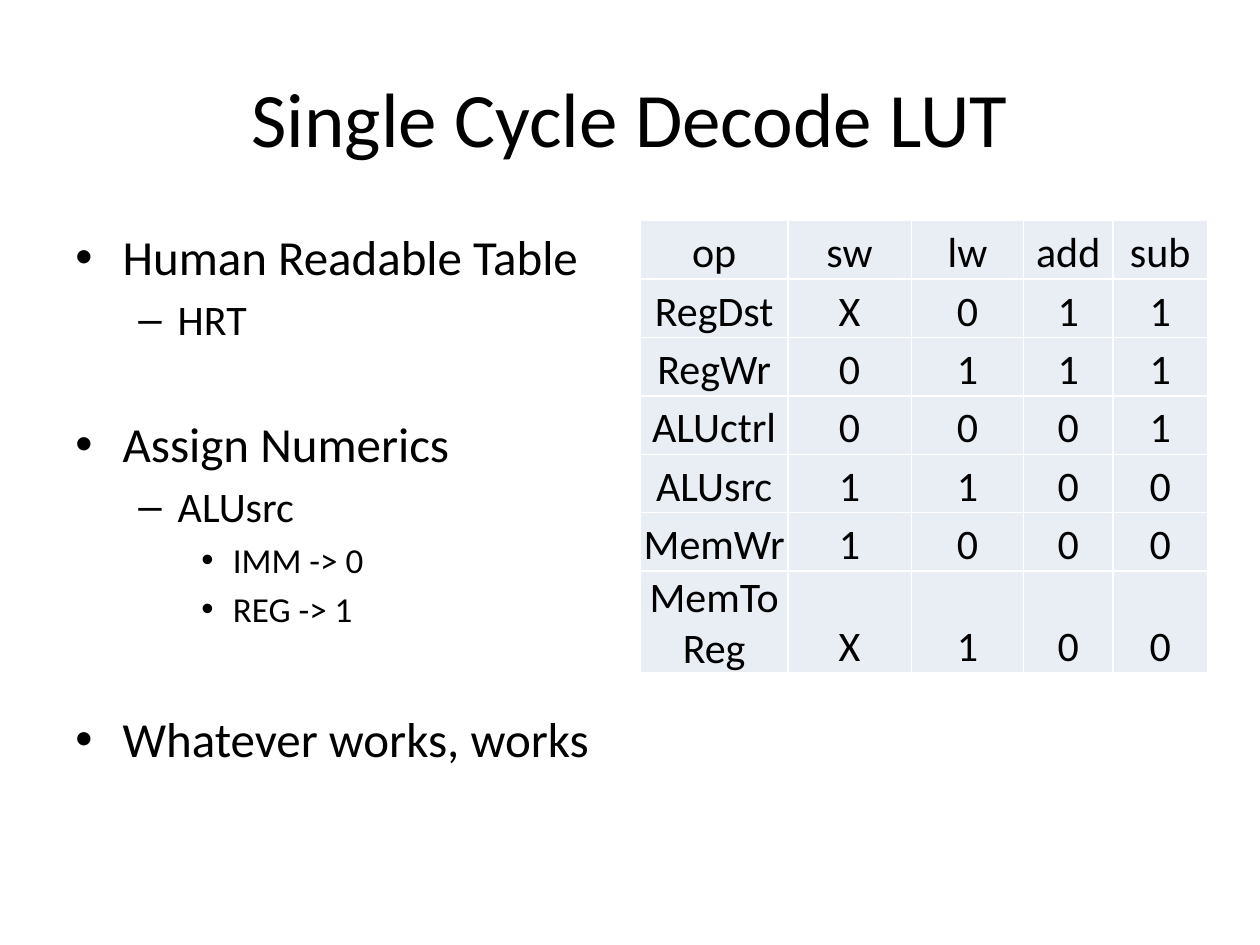
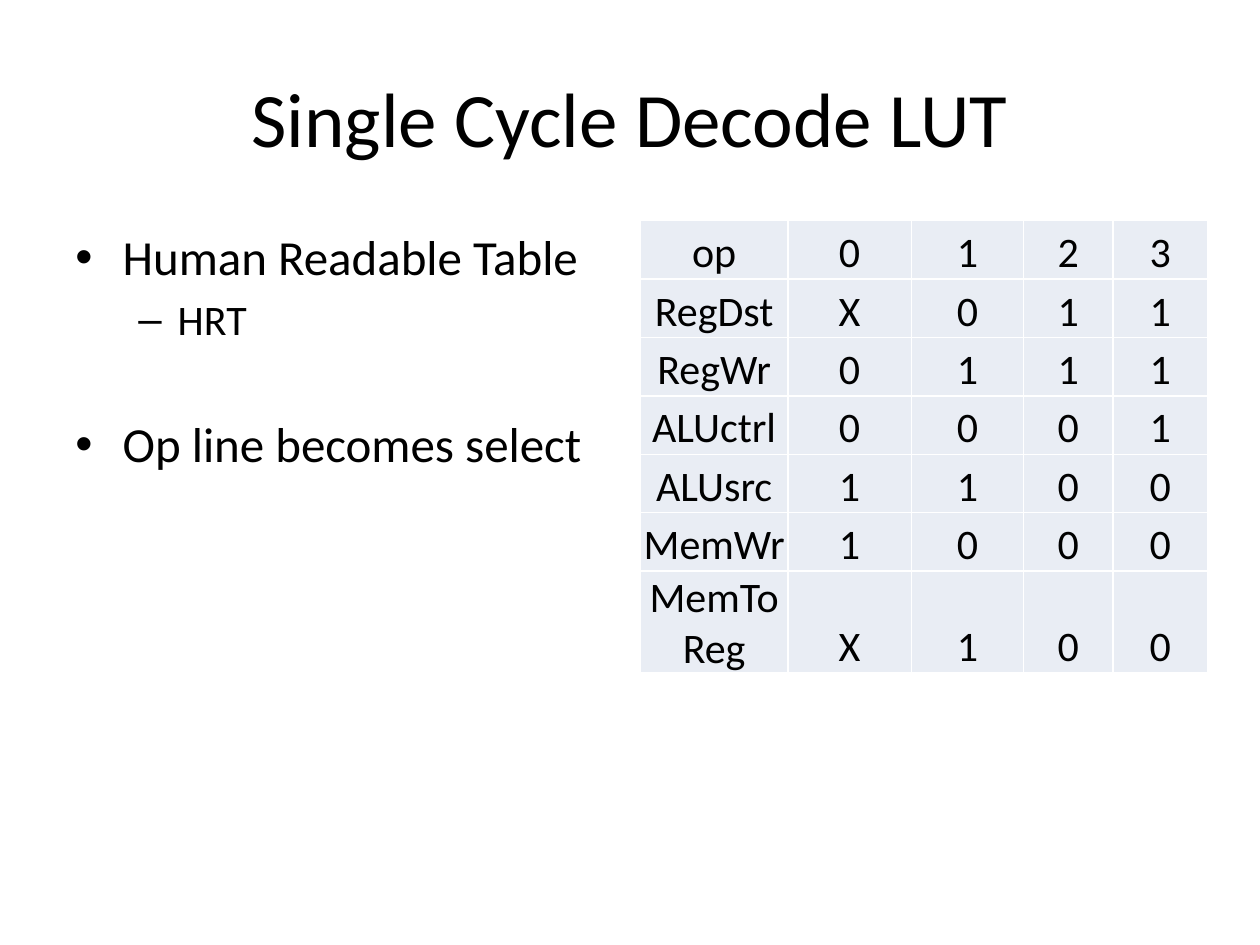
"""Two slides on the single cycle decode lookup table."""
from dataclasses import dataclass

import lxml.etree
import pptx
import pptx.dml.color
import pptx.enum.text
import pptx.oxml.ns
import pptx.util

Pt = pptx.util.Pt
Align = pptx.enum.text.PP_ALIGN
Anchor = pptx.enum.text.MSO_ANCHOR
qn = pptx.oxml.ns.qn

FONT = "Calibri"
COLORS = {"text": "000000", "cell": "E9EDF4", "border": "FFFFFF"}
TITLE = "Single Cycle Decode LUT"
TITLE_BOX = (36, 21.6, 648, 90)
BODY_BOX = (36, 126, 318, 356.4)
TABLE_LEFT, TABLE_TOP = 366, 126
COLUMN_WIDTHS = (84.2, 70.6, 64.1, 51.1, 54)
ROW_HEIGHT = 33.4
CELL_SIZE = 24
CELL_INSET = 0.72
LINE_HEIGHT = 1.22  # Calibri line height relative to its size
SPACE_BEFORE = 0.2  # paragraph spacing relative to text size


@dataclass(frozen=True)
class Level:
    """Look of one outline level, lengths in points."""
    size: float
    left: float
    hanging: float
    bullet: str


@dataclass(frozen=True)
class Item:
    """One bullet; gap_size is the text size of an open line above it."""
    text: str
    level: int = 0
    gap_size: float = 0


@dataclass(frozen=True)
class DecodePage:
    """What differs between the slides."""
    items: tuple[Item, ...]
    op_codes: tuple[str, ...]


LEVELS = (
    Level(28, 27, 27, "•"),
    Level(24, 58.5, 22.5, "–"),
    Level(20, 90, 18, "•"),
)
SIGNALS = (
    ("RegDst", "X", "0", "1", "1"),
    ("RegWr", "0", "1", "1", "1"),
    ("ALUctrl", "0", "0", "0", "1"),
    ("ALUsrc", "1", "1", "0", "0"),
    ("MemWr", "1", "0", "0", "0"),
    ("MemToReg", "X", "1", "0", "0"),
)
READABLE_TABLE = (Item("Human Readable Table"), Item("HRT", 1))
PAGES = (
    DecodePage(
        READABLE_TABLE + (
            Item("Assign Numerics", gap_size=24),
            Item("ALUsrc", 1),
            Item("IMM -> 0", 2),
            Item("REG -> 1", 2),
            Item("Whatever works, works", gap_size=28),
        ),
        ("sw", "lw", "add", "sub"),
    ),
    DecodePage(
        READABLE_TABLE + (Item("Op line becomes select", gap_size=24),),
        ("0", "1", "2", "3"),
    ),
)


def rgb(name: str) -> pptx.dml.color.RGBColor:
    """Look up a named colour."""
    return pptx.dml.color.RGBColor.from_string(COLORS[name])


def write(para, text: str, *, size: float, align=Align.LEFT, color: str = "text") -> None:
    """Put formatted text in a paragraph."""
    para.alignment = align
    span = para.add_run()
    span.text = text
    span.font.name = FONT
    span.font.size = Pt(size)
    span.font.color.rgb = rgb(color)


def add_frame(page, area: tuple[float, ...], anchor=Anchor.TOP):
    """Add a wrapping text box and return its text frame."""
    frame = page.shapes.add_textbox(*map(Pt, area)).text_frame
    frame.word_wrap = True
    frame.vertical_anchor = anchor
    return frame


def set_bullet(para, level: Level) -> None:
    """Give a paragraph its bullet and hanging indent."""
    props = para._p.get_or_add_pPr()
    props.set("marL", str(Pt(level.left)))
    props.set("indent", str(-Pt(level.hanging)))
    lxml.etree.SubElement(props, qn("a:buFont"), typeface="Arial")
    lxml.etree.SubElement(props, qn("a:buChar"), char=level.bullet)


def add_outline(page, items: tuple[Item, ...]) -> None:
    """Draw the bulleted outline on the left."""
    frame = add_frame(page, BODY_BOX)
    for index, item in enumerate(items):
        para = frame.add_paragraph() if index else frame.paragraphs[0]
        level = LEVELS[item.level]
        write(para, item.text, size=level.size)
        para.level = item.level
        gap = item.gap_size * (LINE_HEIGHT + SPACE_BEFORE)
        para.space_before = Pt(level.size * SPACE_BEFORE + gap if index else 0)
        set_bullet(para, level)


def set_borders(cell) -> None:
    """Draw a thin line on all four sides of a cell."""
    props = cell._tc.get_or_add_tcPr()
    for index, side in enumerate(("a:lnL", "a:lnR", "a:lnT", "a:lnB")):
        line = lxml.etree.Element(qn(side), w=str(Pt(1)))
        fill = lxml.etree.SubElement(line, qn("a:solidFill"))
        lxml.etree.SubElement(fill, qn("a:srgbClr"), val=COLORS["border"])
        props.insert(index, line)


def add_decode_table(page, op_codes: tuple[str, ...]) -> None:
    """Draw the table of control signals for each operation."""
    rows = (("op",) + op_codes,) + SIGNALS
    area = (TABLE_LEFT, TABLE_TOP, sum(COLUMN_WIDTHS), ROW_HEIGHT * len(rows))
    table = page.shapes.add_table(len(rows), len(COLUMN_WIDTHS), *map(Pt, area)).table
    table.first_row = table.horz_banding = False
    for column, width in zip(table.columns, COLUMN_WIDTHS):
        column.width = Pt(width)
    for row_index, row in enumerate(rows):
        table.rows[row_index].height = Pt(ROW_HEIGHT)
        for column_index, text in enumerate(row):
            cell = table.cell(row_index, column_index)
            cell.margin_left = cell.margin_right = cell.margin_top = Pt(CELL_INSET)
            cell.margin_bottom = 0
            cell.vertical_anchor = Anchor.BOTTOM
            cell.fill.solid()
            cell.fill.fore_color.rgb = rgb("cell")
            set_borders(cell)
            write(cell.text_frame.paragraphs[0], text, size=CELL_SIZE, align=Align.CENTER)


def add_page(deck, content: DecodePage) -> None:
    """Build one slide: title, outline and table."""
    page = deck.slides.add_slide(deck.slide_layouts[6])
    title = add_frame(page, TITLE_BOX, Anchor.MIDDLE)
    write(title.paragraphs[0], TITLE, size=44, align=Align.CENTER)
    add_outline(page, content.items)
    add_decode_table(page, content.op_codes)


def main() -> None:
    """Build and save the deck."""
    deck = pptx.Presentation()
    deck.slide_width, deck.slide_height = Pt(720), Pt(540)
    for content in PAGES:
        add_page(deck, content)
    deck.save("out.pptx")


main()
